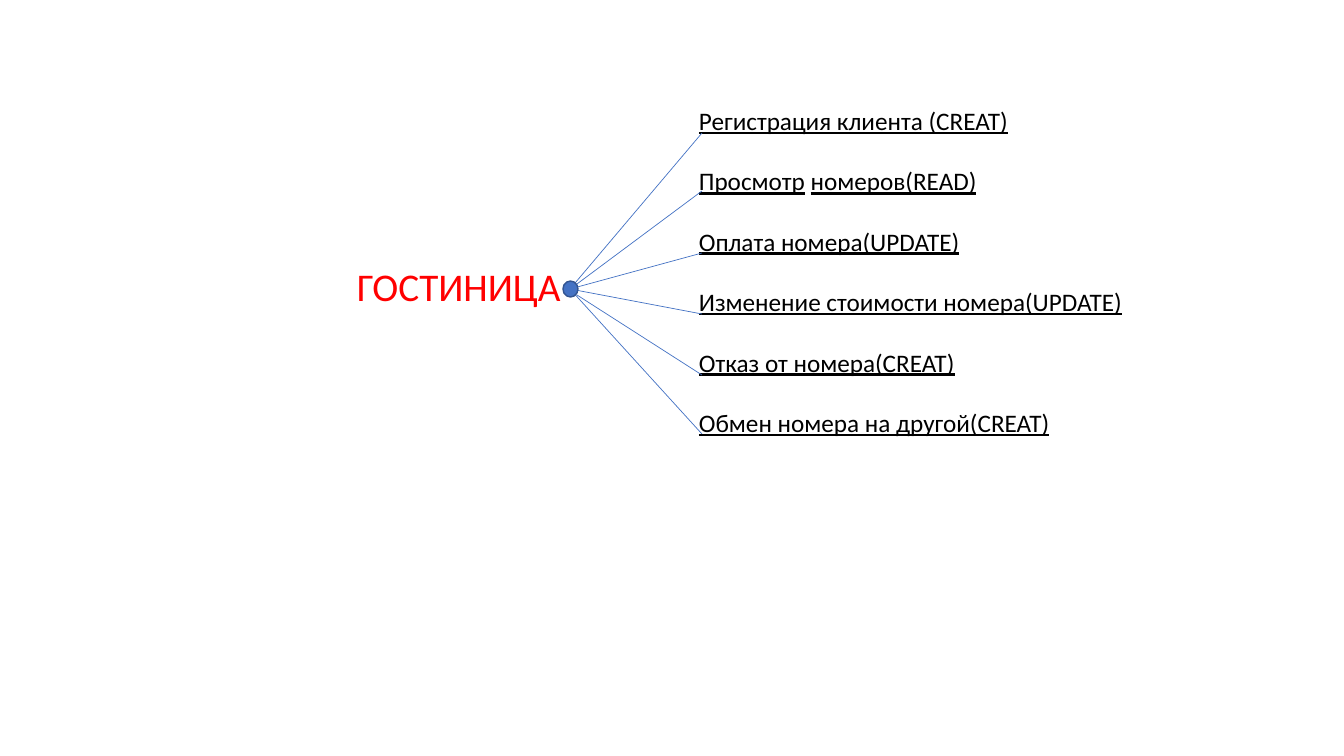
from pptx import Presentation
from pptx.dml.color import RGBColor
from pptx.enum.shapes import MSO_CONNECTOR, MSO_SHAPE
from pptx.oxml.ns import qn
from pptx.util import Emu, Pt
from lxml import etree

STRAIGHT = MSO_CONNECTOR.STRAIGHT
DOT = MSO_SHAPE.FLOWCHART_CONNECTOR
PIXEL = 914400 / 100.8
COLORS = {"title": "FF0000", "text": "000000", "accent": "4472C4", "outline": "325491"}


def px(length):
    """Turn picture pixels into EMU."""
    return Emu(round(length * PIXEL))


def color(name):
    """Return a named colour."""
    return RGBColor.from_string(COLORS[name])


class SlideBuilder:
    """Holds the text style and the current slide."""

    def __init__(self, slide, font):
        """Keep the slide and its font name."""
        self.slide = slide
        self.font = font

    def text(self, box, paragraphs, size, color_name, gap=0):
        """Add a text box; each paragraph is a list of (text, underline) runs."""
        frame = self.slide.shapes.add_textbox(*map(px, box)).text_frame
        frame.word_wrap = True
        for index, runs in enumerate(paragraphs):
            paragraph = frame.add_paragraph() if index else frame.paragraphs[0]
            paragraph.space_before = Pt(gap if index else 0)
            for content, underline in runs:
                run = paragraph.add_run()
                run.text = content
                run.font.color.rgb = color(color_name)
                style = {"name": self.font, "size": Pt(size), "underline": underline}
                for attribute, value in style.items():
                    setattr(run.font, attribute, value)

    def line(self, start, end):
        """Add a thin straight line without a shadow."""
        connector = self.slide.shapes.add_connector(STRAIGHT, *map(px, start + end))
        connector.line.color.rgb = color("accent")
        connector.line.width = Pt(0.5)
        etree.SubElement(connector._element.spPr, qn("a:effectLst"))

    def dot(self, box):
        """Add the round node where the lines meet."""
        shape = self.slide.shapes.add_shape(DOT, *map(px, box))
        shape.shadow.inherit = False
        shape.fill.solid()
        shape.fill.fore_color.rgb = color("accent")
        shape.line.color.rgb = color("outline")
        shape.line.width = Pt(1)


CENTER, UPPER_RIGHT, LOWER_RIGHT = (570, 289), (577, 284), (577, 295)
BRANCH_END = 702
# Each operation: its text runs, where its branch starts, and the height of the branch end.
OPERATIONS = [
    ([("Регистрация клиента (CREAT)", True)], CENTER, 133),
    ([("Просмотр", True), (" ", False), ("номеров(READ)", True)], UPPER_RIGHT, 191),
    ([("Оплата номера(UPDATE)", True)], CENTER, 253),
    ([("Изменение стоимости номера(UPDATE)", True)], CENTER, 314),
    ([("Отказ от номера(CREAT)", True)], LOWER_RIGHT, 375),
    ([("Обмен номера на другой(CREAT)", True)], CENTER, 434),
]

presentation = Presentation()
presentation.slide_width, presentation.slide_height = px(1344), px(756)
builder = SlideBuilder(presentation.slides.add_slide(presentation.slide_layouts[6]), "Calibri")

builder.text((347, 257, 259, 57), [[("ГОСТИНИЦА", False)]], 28, "title")
builder.text((689, 100, 469, 377), [runs for runs, _, _ in OPERATIONS], 18, "text", gap=21.6)
for _, start, end_height in OPERATIONS:
    builder.line(start, (BRANCH_END, end_height))
builder.dot((563, 281, 15, 16))

presentation.save("out.pptx")
